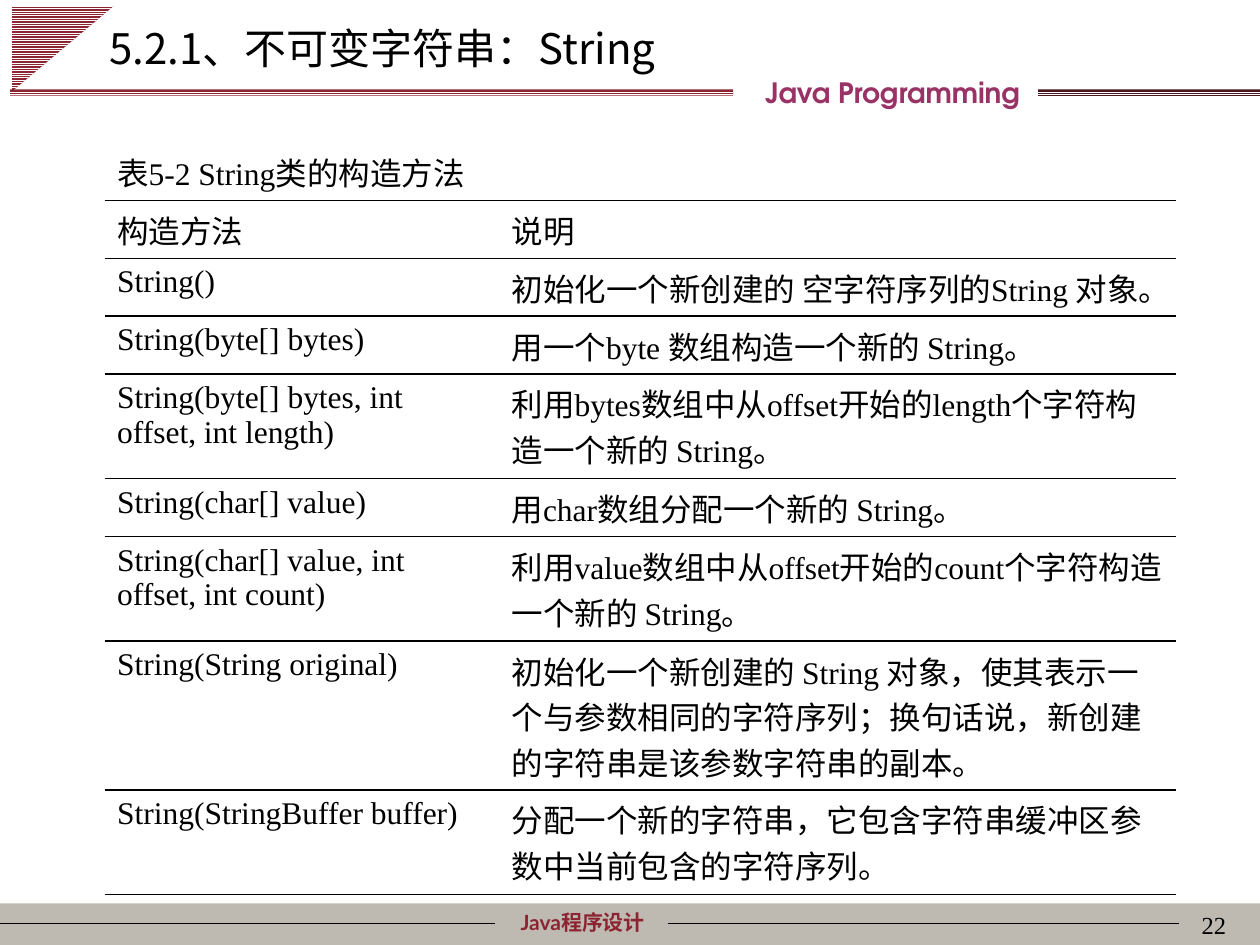
from lxml.etree import SubElement
from pptx import Presentation
from pptx.dml.color import RGBColor
from pptx.enum.dml import MSO_PATTERN
from pptx.enum.shapes import MSO_CONNECTOR, MSO_SHAPE
from pptx.enum.text import PP_ALIGN
from pptx.oxml import parse_xml
from pptx.oxml.ns import nsdecls, qn
from pptx.util import Inches, Pt

BLACK, WHITE, RED, DARK_RED = "000000", "FFFFFF", "8C2532", "4C141B"
PLUM, GREY = "993366", "BFBAB1"
SERIF, SANS = "Times New Roman", "Noto Sans CJK SC"
NO_STYLE = "{2D5ABB26-0587-4C30-8999-92F81FD0307C}"

# Row heights by number of text lines
ONE, TWO, THREE = 0.46, 0.83, 1.18
ROWS = [
    (ONE, "表5-2 String类的构造方法", ""),
    (ONE, "构造方法", "说明"),
    (ONE, "String()", "初始化一个新创建的 空字符序列的String 对象。"),
    (ONE, "String(byte[] bytes)", "用一个byte 数组构造一个新的 String。"),
    (TWO, "String(byte[] bytes, int offset, int length)",
     "利用bytes数组中从offset开始的length个字符构造一个新的 String。"),
    (ONE, "String(char[] value)", "用char数组分配一个新的 String。"),
    (TWO, "String(char[] value, int offset, int count)",
     "利用value数组中从offset开始的count个字符构造一个新的 String。"),
    (THREE, "String(String original)",
     "初始化一个新创建的 String 对象，使其表示一个与参数相同的字符序列；"
     "换句话说，新创建的字符串是该参数字符串的副本。"),
    (TWO, "String(StringBuffer buffer)",
     "分配一个新的字符串，它包含字符串缓冲区参数中当前包含的字符序列。"),
]


def rgb(value):
    return RGBColor.from_string(value)


class SlideBuilder:
    def __init__(self, slide):
        self.slide = slide

    def run(self, p, text, size, font, color=BLACK, bold=False):
        r = p.add_run()
        r.text = text
        r.font.size, r.font.name, r.font.bold = Pt(size), font, bold
        r.font.color.rgb = rgb(color)
        SubElement(r.font._element, qn("a:ea")).set("typeface", SANS)

    def text(self, box, text, size, font, color=BLACK, bold=False,
             align=PP_ALIGN.LEFT):
        tf = self.slide.shapes.add_textbox(*map(Inches, box)).text_frame
        tf.word_wrap = True
        p = tf.paragraphs[0]
        p.alignment = align
        self.run(p, text, size, font, color, bold)

    def shape(self, box, color, kind=MSO_SHAPE.RECTANGLE, striped=False,
              rotation=0):
        sp = self.slide.shapes.add_shape(kind, *map(Inches, box))
        sp.shadow.inherit = False
        sp.line.fill.background()
        sp.rotation = rotation
        if striped:
            sp.fill.patterned()
            sp.fill.pattern = MSO_PATTERN.LIGHT_HORIZONTAL
            sp.fill.fore_color.rgb = rgb(WHITE)
            sp.fill.back_color.rgb = rgb(color)
        else:
            sp.fill.solid()
            sp.fill.fore_color.rgb = rgb(color)

    def rule(self, left, right, y):
        line = self.slide.shapes.add_connector(
            MSO_CONNECTOR.STRAIGHT, *map(Inches, (left, y, right, y)))
        line.line.color.rgb = rgb(BLACK)
        line.line.width = Pt(0.75)
        SubElement(line._element.spPr, qn("a:effectLst"))

    def cell(self, cell, text):
        cell.fill.background()
        border = parse_xml(
            f'<a:lnB {nsdecls("a")} w="{Pt(1)}"><a:solidFill>'
            f'<a:srgbClr val="{BLACK}"/></a:solidFill></a:lnB>')
        cell._tc.get_or_add_tcPr().insert(0, border)
        if text:
            self.run(cell.text_frame.paragraphs[0], text, 18, SERIF)

    def table(self, left, top, widths, rows):
        height = sum(row[0] for row in rows)
        frame = self.slide.shapes.add_table(
            len(rows), len(widths),
            *map(Inches, (left, top, sum(widths), height)))
        table = frame.table
        table.first_row = table.horz_banding = False
        table._tbl.tblPr.find(qn("a:tableStyleId")).text = NO_STYLE
        for column, width in zip(table.columns, widths):
            column.width = Inches(width)
        for i, (height, *texts) in enumerate(rows):
            table.rows[i].height = Inches(height)
            for j, text in enumerate(texts):
                self.cell(table.cell(i, j), text)
        table.cell(0, 0).merge(table.cell(0, len(widths) - 1))


def main():
    prs = Presentation()
    prs.slide_width, prs.slide_height = Inches(10), Inches(7.5)
    s = SlideBuilder(prs.slides.add_slide(prs.slide_layouts[6]))

    # Footer band
    s.shape((0, 7.17, 10, 0.33), GREY)
    s.text((3.62, 7.17, 2.01, 0.3), "Java程序设计", 12, "Lato", RED, True,
           PP_ALIGN.CENTER)
    s.rule(0, 3.93, 7.33)
    s.rule(5.3, 9.36, 7.33)

    # Striped header decoration and course name
    s.shape((0.16, -0.02, 0.68, 0.81), RED, MSO_SHAPE.RIGHT_TRIANGLE,
            striped=True, rotation=90)
    s.shape((8.24, 0.71, 1.76, 0.06), DARK_RED, striped=True)
    s.shape((0.08, 0.71, 5.74, 0.05), RED, striped=True)
    s.text((5.08, 0.55, 4.01, 0.37), "Java Programming", 16,
           "TeX Gyre Adventor", PLUM, True, PP_ALIGN.CENTER)

    # Page number and title
    s.text((7.75, 7.17, 2.08, 0.5), "22", 14, SERIF, align=PP_ALIGN.RIGHT)
    s.text((0.77, 0.13, 8.5, 0.5), "5.2.1、不可变字符串：String", 24, SANS)

    # Constructor table
    s.table(0.83, 1.13, (3.13, 5.37), ROWS)

    prs.save("out.pptx")


if __name__ == "__main__":
    main()
